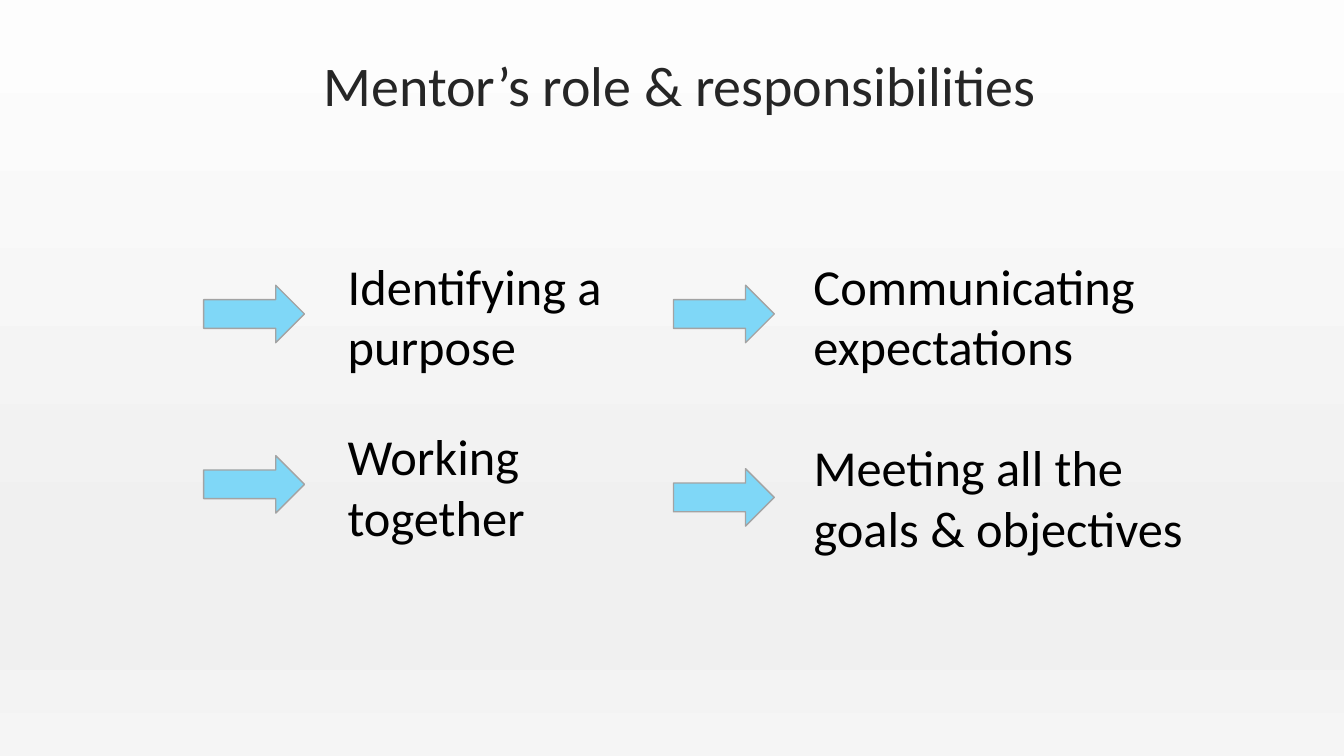
from lxml import etree
from pptx import Presentation
from pptx.dml.color import RGBColor
from pptx.enum.shapes import MSO_SHAPE
from pptx.enum.text import MSO_ANCHOR, PP_ALIGN
from pptx.oxml.ns import qn
from pptx.util import Inches, Pt

RIGHT_ARROW = MSO_SHAPE.RIGHT_ARROW
MIDDLE, TOP = MSO_ANCHOR.MIDDLE, MSO_ANCHOR.TOP
CENTER, LEFT = PP_ALIGN.CENTER, PP_ALIGN.LEFT

THEME = {
    "font": "Calibri",
    "title_size": 40,
    "body_size": 36,
    "title": "262626",
    "body": "000000",
    "arrow": "7FD7F7",
    "arrow_line": "A3A3A3",
    "background": [(2, "FDFDFD"), (74, "F0F0F0"), (83, "F0F0F0"), (100, "F5F5F5")],
}


def add_text(slide, text, box, size, color, anchor=TOP, align=LEFT):
    tf = slide.shapes.add_textbox(*map(Inches, box)).text_frame
    tf.word_wrap = True
    tf.vertical_anchor = anchor
    p = tf.paragraphs[0]
    p.text = text
    p.alignment = align
    p.font.name = THEME["font"]
    p.font.size = Pt(size)
    p.font.color.rgb = RGBColor.from_string(color)
    return p


prs = Presentation()
prs.slide_width, prs.slide_height = Inches(13.33), Inches(7.5)
slide = prs.slides.add_slide(prs.slide_layouts[6])

fill = slide.background.fill
fill.gradient()
fill.gradient_angle = 270
stops = next(slide.element.iter(qn("a:gsLst")))
for stop in list(stops):
    stops.remove(stop)
for percent, color in THEME["background"]:
    stop = etree.SubElement(stops, qn("a:gs"), pos=str(percent * 1000))
    etree.SubElement(stop, qn("a:srgbClr"), val=color)

title = add_text(slide, "Mentor’s role & responsibilities", (3.08, 0.2, 7.32, 1.36),
                 THEME["title_size"], THEME["title"], MIDDLE, CENTER)
title.line_spacing = 0.9

duties = [
    ("Identifying a purpose", 3.35, 2.48, 4.11, 2.02, 2.83),
    ("Communicating expectations", 7.97, 2.48, 3.67, 6.68, 2.83),
    ("Working together", 3.35, 4.17, 3.67, 2.02, 4.52),
    ("Meeting all the goals & objectives", 7.97, 4.28, 3.92, 6.68, 4.65),
]
for text, left, top, width, arrow_left, arrow_top in duties:
    add_text(slide, text, (left, top, width, 1.31), THEME["body_size"], THEME["body"])
    sp = slide.shapes.add_shape(RIGHT_ARROW, Inches(arrow_left), Inches(arrow_top),
                                Inches(1), Inches(0.57))
    sp.shadow.inherit = False
    sp.fill.solid()
    sp.fill.fore_color.rgb = RGBColor.from_string(THEME["arrow"])
    sp.line.color.rgb = RGBColor.from_string(THEME["arrow_line"])
    sp.line.width = Pt(1)

prs.save("out.pptx")
